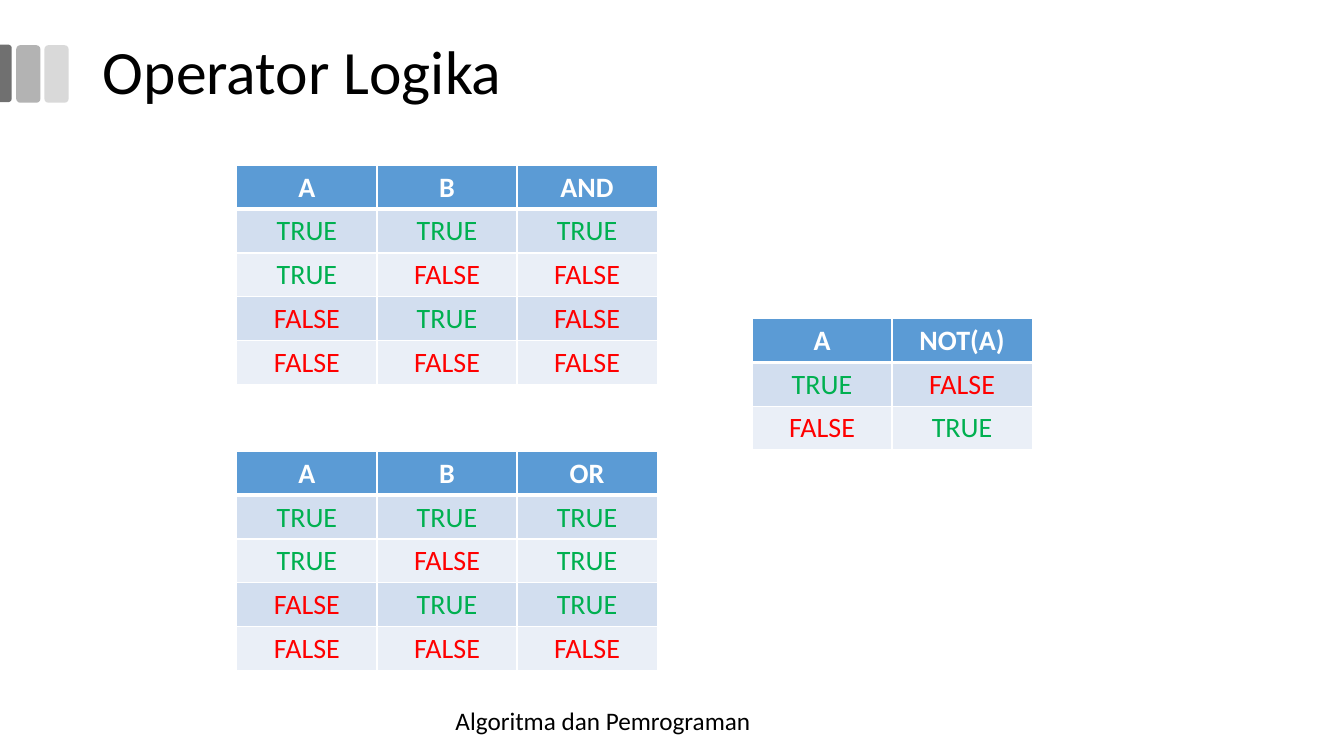
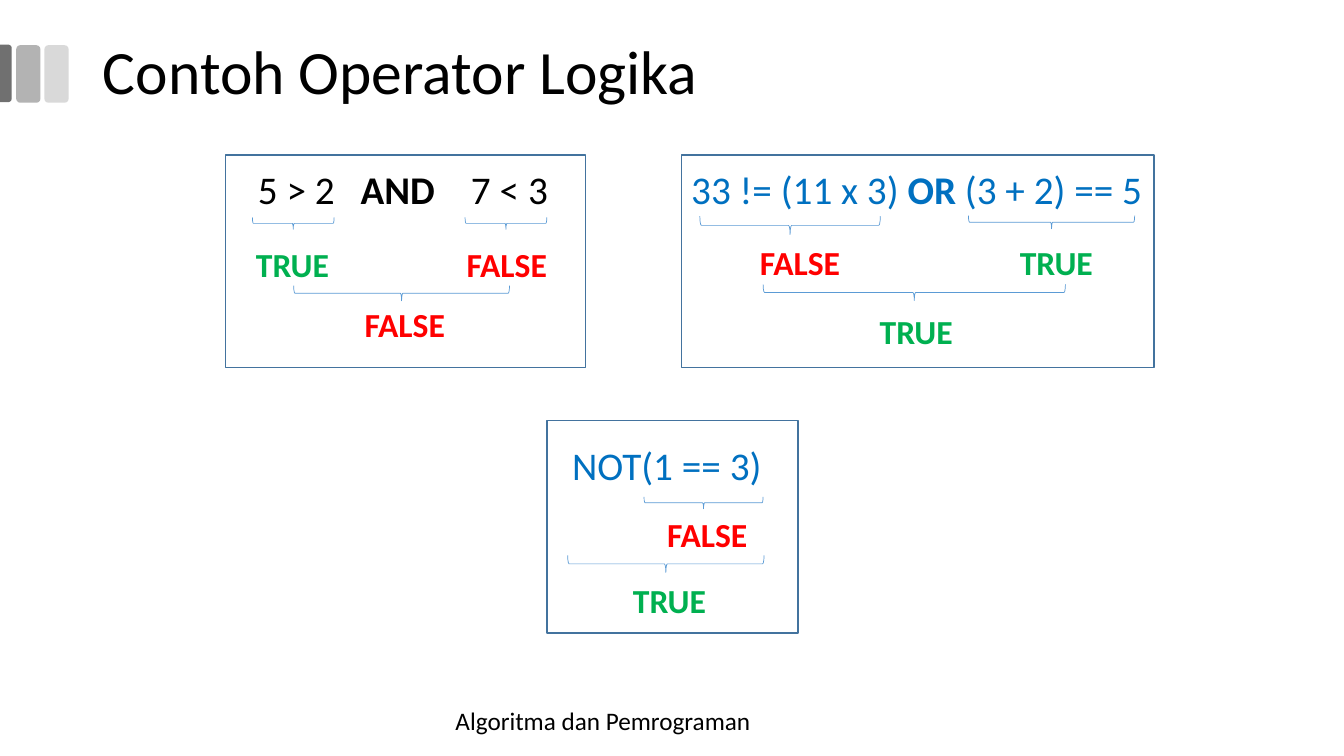
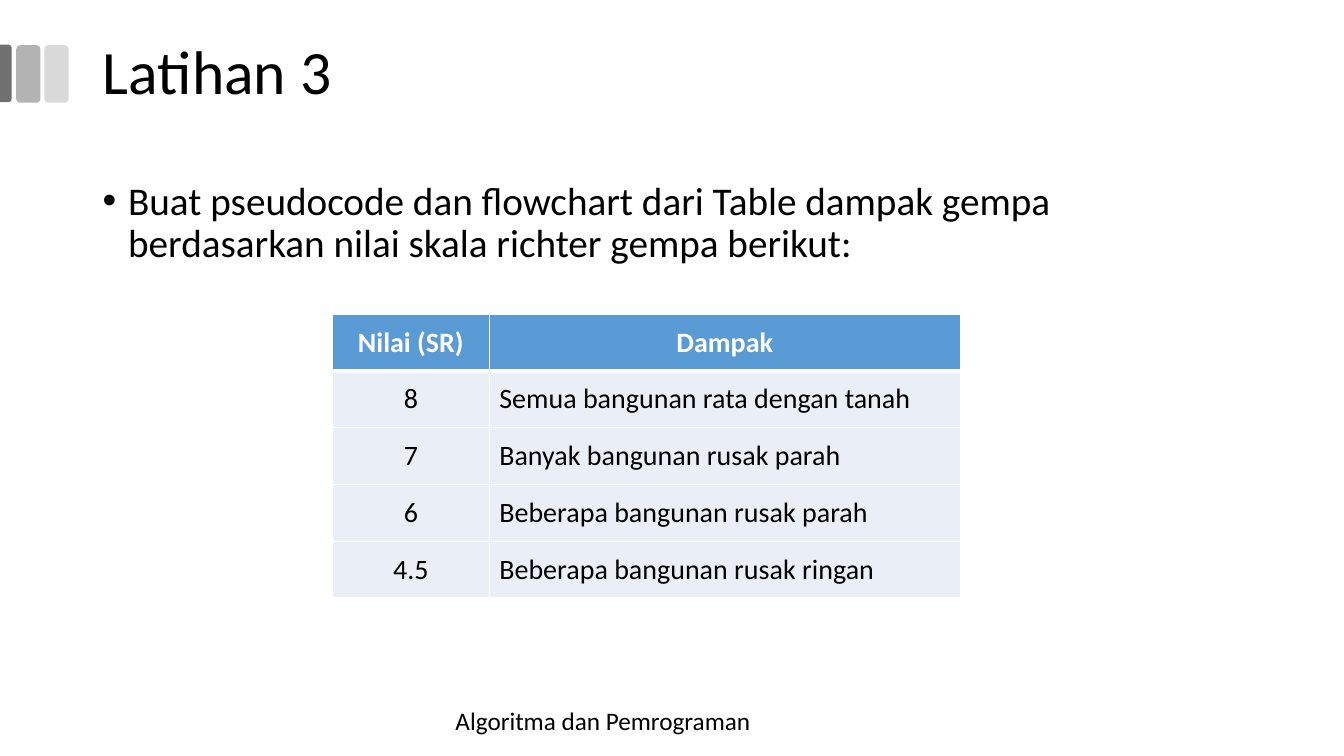
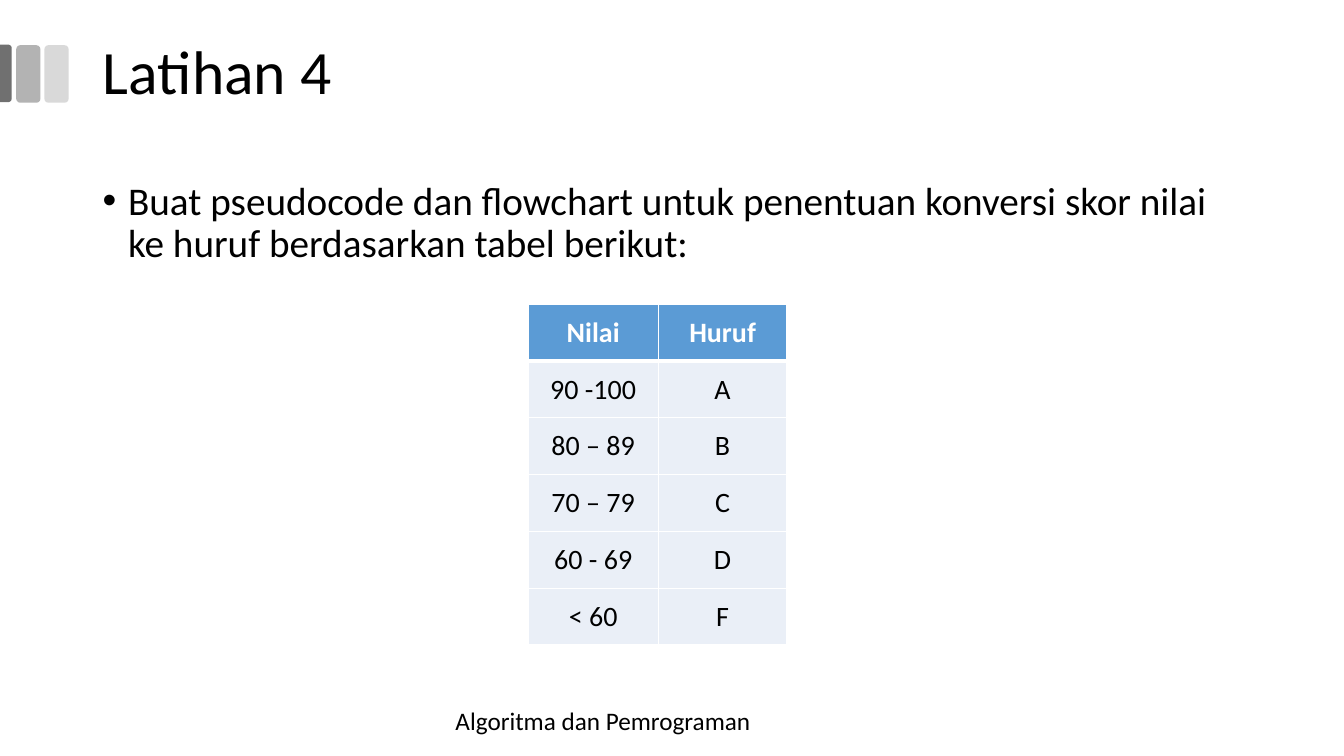
from dataclasses import dataclass
from typing import Optional

from lxml.etree import SubElement
from pptx import Presentation
from pptx.dml.color import RGBColor
from pptx.enum.shapes import MSO_SHAPE
from pptx.enum.text import MSO_ANCHOR, MSO_AUTO_SIZE, PP_ALIGN
from pptx.oxml.ns import qn
from pptx.util import Cm, Pt

FONT = "Calibri"
BLACK = RGBColor(0x00, 0x00, 0x00)
WHITE = RGBColor(0xFF, 0xFF, 0xFF)
BLUE = RGBColor(0x5B, 0x9B, 0xD5)
FRAME_BLUE = RGBColor(0x43, 0x73, 0x9E)
TEXT_BLUE = RGBColor(0x00, 0x70, 0xC0)
BAND_DARK = RGBColor(0xD2, 0xDE, 0xEF)
BAND_LIGHT = RGBColor(0xEA, 0xEF, 0xF7)
GREEN = RGBColor(0x00, 0xB0, 0x50)
RED = RGBColor(0xFF, 0x00, 0x00)
MARK_LIGHT = RGBColor(0xD9, 0xD9, 0xD9)
MARK_MID = RGBColor(0xB3, 0xB3, 0xB3)
MARK_DARK = RGBColor(0x70, 0x70, 0x70)

VERDICT_COLORS = {"TRUE": GREEN, "FALSE": RED}
VERDICT_WIDTHS = {"TRUE": 2.39, "FALSE": 2.57}
FOOTER = "Algoritma dan Pemrograman"


@dataclass(frozen=True)
class Box:
    """A rectangle in centimetres."""
    left: float
    top: float
    width: float
    height: float

    def lengths(self):
        """Return left, top, width and height as lengths."""
        return Cm(self.left), Cm(self.top), Cm(self.width), Cm(self.height)


@dataclass(frozen=True)
class Grid:
    """A table with a header row."""
    left: float
    top: float
    columns: tuple[float, ...]
    row_height: float
    rows: list[tuple[str, ...]]
    bands: tuple[RGBColor, ...] = (BAND_LIGHT,)
    anchor: MSO_ANCHOR = MSO_ANCHOR.MIDDLE
    left_column: Optional[int] = None


@dataclass(frozen=True)
class Brace:
    """A brace that points down, placed by its centre."""
    x: float
    y: float
    span: float
    depth: float


@dataclass(frozen=True)
class Verdict:
    """The truth value under a brace."""
    left: float
    top: float
    value: str


@dataclass(frozen=True)
class Example:
    """A framed expression with its step by step evaluation."""
    frame: Box
    text: Box
    pieces: tuple[str, ...]
    color: RGBColor
    braces: tuple[Brace, ...]
    verdicts: tuple[Verdict, ...]
    align: PP_ALIGN = PP_ALIGN.LEFT
    tabs: tuple[float, ...] = ()


@dataclass(frozen=True)
class Exercise:
    """A slide with one task and its table."""
    title: str
    task: str
    grid: Grid


TITLE_BOX = Box(2.34, 0.03, 29.21, 3.68)
TASK_BOX = Box(2.34, 4.45, 29.21, 2.6)
FOOTER_BOX = Box(11.23, 17.65, 11.43, 1.02)


def style_run(r, size: float, color: RGBColor, bold: bool = False) -> None:
    """Set the font of a run."""
    r.font.name = FONT
    r.font.size = Pt(size)
    r.font.bold = bold
    r.font.color.rgb = color


def add_text(s, box: Box, pieces: tuple[str, ...], size: float, color: RGBColor,
             bold: tuple[bool, ...] = (False,), wrap: bool = True):
    """Add a text box with one run per piece and return its paragraph."""
    tf = s.shapes.add_textbox(*box.lengths()).text_frame
    tf.word_wrap = wrap
    p = tf.paragraphs[0]
    for i, piece in enumerate(pieces):
        r = p.add_run()
        r.text = piece
        style_run(r, size, color, bold[i % len(bold)])
    return p


def add_shape(s, kind: MSO_SHAPE, box: Box, fill: Optional[RGBColor] = None,
              line: Optional[RGBColor] = None, weight: float = 1):
    """Add a flat preset shape."""
    sp = s.shapes.add_shape(kind, *box.lengths())
    sp.shadow.inherit = False
    if fill is None:
        sp.fill.background()
    else:
        sp.fill.solid()
        sp.fill.fore_color.rgb = fill
    if line is None:
        sp.line.fill.background()
    else:
        sp.line.color.rgb = line
        sp.line.width = Pt(weight)
    return sp


def add_marks(s) -> None:
    """Draw the three grey marks at the left edge."""
    for left, color in ((1.12, MARK_LIGHT), (0.41, MARK_MID)):
        add_shape(s, MSO_SHAPE.ROUNDED_RECTANGLE, Box(left, 1.14, 0.61, 1.45), color)
    sp = add_shape(s, MSO_SHAPE.ROUND_2_SAME_RECTANGLE,
                   Box(-0.58, 1.7, 1.45, 0.3), MARK_DARK)
    sp.adjustments[0] = 0.29
    sp.rotation = 90


def new_slide(prs, title: str):
    """Add a slide with the shared marks, title and footer."""
    s = prs.slides.add_slide(prs.slide_layouts[5])
    add_marks(s)
    sp = s.shapes.title
    sp.left, sp.top, sp.width, sp.height = TITLE_BOX.lengths()
    tf = sp.text_frame
    tf.text = title
    tf.word_wrap = True
    tf.auto_size = MSO_AUTO_SIZE.NONE
    tf.vertical_anchor = MSO_ANCHOR.MIDDLE
    p = tf.paragraphs[0]
    p.alignment = PP_ALIGN.LEFT
    p.line_spacing = 0.9
    style_run(p.runs[0], 44, BLACK)
    add_text(s, FOOTER_BOX, (FOOTER,), 18, BLACK)
    return s


def set_borders(cell, top: float, bottom: float) -> None:
    """Give a cell white borders, with the side ones 1 point wide."""
    props = cell._tc.get_or_add_tcPr()
    for side, weight in (("L", 1), ("R", 1), ("T", top), ("B", bottom)):
        ln = SubElement(props, qn(f"a:ln{side}"), w=str(Pt(weight)))
        fill = SubElement(ln, qn("a:solidFill"))
        SubElement(fill, qn("a:srgbClr"), val=str(WHITE))


def add_grid(s, grid: Grid) -> None:
    """Draw a table with a blue header and tinted rows."""
    box = Box(grid.left, grid.top, sum(grid.columns), grid.row_height * len(grid.rows))
    table = s.shapes.add_table(len(grid.rows), len(grid.columns), *box.lengths()).table
    for column, width in zip(table.columns, grid.columns):
        column.width = Cm(width)
    for i, texts in enumerate(grid.rows):
        header = i == 0
        table.rows[i].height = Cm(grid.row_height)
        for j, text in enumerate(texts):
            cell = table.cell(i, j)
            set_borders(cell, 3 if i == 1 else 1, 3 if header else 1)
            cell.fill.solid()
            cell.fill.fore_color.rgb = BLUE if header else grid.bands[(i - 1) % len(grid.bands)]
            cell.vertical_anchor = grid.anchor
            cell.text_frame.text = text
            p = cell.text_frame.paragraphs[0]
            to_left = j == grid.left_column and not header
            p.alignment = PP_ALIGN.LEFT if to_left else PP_ALIGN.CENTER
            color = WHITE if header else VERDICT_COLORS.get(text, BLACK)
            style_run(p.runs[0], 20, color, header)


def truth_table(left: float, top: float, rows: list[tuple[str, ...]]) -> Grid:
    """Describe a truth table with equal columns."""
    return Grid(left, top, (3.53,) * len(rows[0]), 1.1, rows,
                (BAND_DARK, BAND_LIGHT), MSO_ANCHOR.TOP)


def add_brace(s, brace: Brace) -> None:
    """Draw a brace turned to point down."""
    box = Box(brace.x - brace.depth / 2, brace.y - brace.span / 2, brace.depth, brace.span)
    add_shape(s, MSO_SHAPE.RIGHT_BRACE, box, line=BLUE, weight=0.5).rotation = 90


def add_example(s, example: Example) -> None:
    """Draw an expression, its braces and its truth values in a frame."""
    add_shape(s, MSO_SHAPE.RECTANGLE, example.frame, line=FRAME_BLUE)
    p = add_text(s, example.text, example.pieces, 28, example.color, (False, True))
    p.alignment = example.align
    p.line_spacing = 0.9
    if example.tabs:
        stops = SubElement(p._p.get_or_add_pPr(), qn("a:tabLst"))
        for tab in example.tabs:
            SubElement(stops, qn("a:tab"), pos=str(Cm(tab)), algn="l")
    for brace in example.braces:
        add_brace(s, brace)
    for verdict in example.verdicts:
        box = Box(verdict.left, verdict.top, VERDICT_WIDTHS[verdict.value], 1.27)
        add_text(s, box, (verdict.value,), 24, VERDICT_COLORS[verdict.value],
                 (True,), wrap=False)


def add_task(s, text: str) -> None:
    """Write the bulleted task of an exercise."""
    p = add_text(s, TASK_BOX, (text,), 28, BLACK)
    p.line_spacing = 0.9
    props = p._p.get_or_add_pPr()
    props.set("marL", str(Cm(0.64)))
    props.set("indent", str(-Cm(0.64)))
    SubElement(props, qn("a:buFont"), typeface="Arial")
    SubElement(props, qn("a:buChar"), char="•")


TRUTH_TABLES = [
    truth_table(5.97, 4.17, [
        ("A", "B", "AND"),
        ("TRUE", "TRUE", "TRUE"),
        ("TRUE", "FALSE", "FALSE"),
        ("FALSE", "TRUE", "FALSE"),
        ("FALSE", "FALSE", "FALSE"),
    ]),
    truth_table(5.97, 11.38, [
        ("A", "B", "OR"),
        ("TRUE", "TRUE", "TRUE"),
        ("TRUE", "FALSE", "TRUE"),
        ("FALSE", "TRUE", "TRUE"),
        ("FALSE", "FALSE", "FALSE"),
    ]),
    truth_table(18.95, 8.03, [
        ("A", "NOT(A)"),
        ("TRUE", "FALSE"),
        ("FALSE", "TRUE"),
    ]),
]

EXAMPLES = [
    Example(
        Box(5.69, 3.91, 9.07, 5.36), Box(6.25, 4.17, 8.03, 4.67),
        ("5 > 2\t", "AND", "\t7 < 3"), BLACK,
        (Brace(7.39, 5.63, 2.06, 0.3), Brace(12.75, 5.63, 2.06, 0.3),
         Brace(10.12, 7.39, 5.44, 0.38)),
        (Verdict(6.2, 6.02, "TRUE"), Verdict(11.51, 6.02, "FALSE"),
         Verdict(8.94, 7.54, "FALSE")),
        tabs=(2.59, 5.37),
    ),
    Example(
        Box(17.17, 3.91, 11.91, 5.36), Box(17.17, 4.17, 12.47, 4.67),
        ("33 != (11 x 3) ", "OR ", "(3 + 2) == 5"), TEXT_BLUE,
        (Brace(19.91, 5.68, 4.55, 0.46), Brace(26.5, 5.6, 4.19, 0.33),
         Brace(23.04, 7.37, 7.62, 0.41)),
        (Verdict(18.9, 5.97, "FALSE"), Verdict(25.45, 5.97, "TRUE"),
         Verdict(21.92, 7.72, "TRUE")),
    ),
    Example(
        Box(13.79, 10.59, 6.32, 5.36), Box(12.65, 11.13, 8.31, 4.67),
        ("NOT(1 == 3)",), TEXT_BLUE,
        (Brace(17.73, 12.67, 3, 0.3), Brace(16.78, 14.21, 4.95, 0.43)),
        (Verdict(16.56, 12.83, "FALSE"), Verdict(15.7, 14.5, "TRUE")),
        align=PP_ALIGN.CENTER,
    ),
]

EXERCISES = [
    Exercise(
        "Latihan 3",
        "Buat pseudocode dan flowchart dari Table dampak gempa "
        "berdasarkan nilai skala richter gempa berikut:",
        Grid(8.38, 7.92, (3.95, 11.87), 1.43, [
            ("Nilai (SR)", "Dampak"),
            ("8", "Semua bangunan rata dengan tanah"),
            ("7", "Banyak bangunan rusak parah"),
            ("6", "Beberapa bangunan rusak parah"),
            ("4.5", "Beberapa bangunan rusak ringan"),
        ], left_column=1),
    ),
    Exercise(
        "Latihan 4",
        "Buat pseudocode dan flowchart untuk penentuan konversi skor nilai "
        "ke huruf berdasarkan tabel berikut:",
        Grid(13.31, 7.67, (3.28, 3.24), 1.43, [
            ("Nilai", "Huruf"),
            ("90 -100", "A"),
            ("80 – 89", "B"),
            ("70 – 79", "C"),
            ("60 - 69", "D"),
            ("< 60", "F"),
        ]),
    ),
]


def main() -> None:
    """Build and save the presentation."""
    prs = Presentation()
    prs.slide_width, prs.slide_height = Cm(33.87), Cm(19.05)

    s = new_slide(prs, "Operator Logika")
    for grid in TRUTH_TABLES:
        add_grid(s, grid)

    s = new_slide(prs, "Contoh Operator Logika")
    for example in EXAMPLES:
        add_example(s, example)

    for exercise in EXERCISES:
        s = new_slide(prs, exercise.title)
        add_task(s, exercise.task)
        add_grid(s, exercise.grid)

    prs.save("out.pptx")


main()
